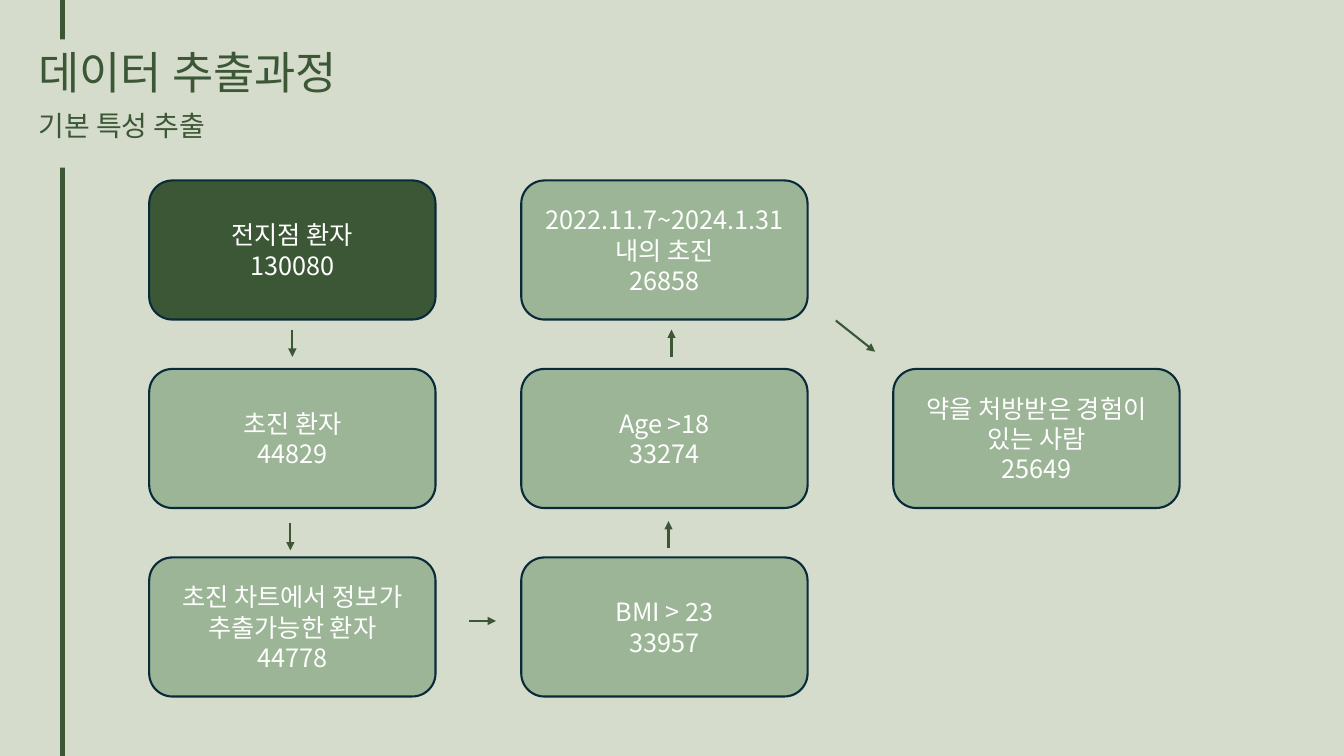
from dataclasses import dataclass

from lxml.etree import SubElement
from pptx import Presentation
from pptx.dml.color import RGBColor
from pptx.enum.shapes import MSO_CONNECTOR, MSO_SHAPE
from pptx.enum.text import MSO_ANCHOR, MSO_AUTO_SIZE, PP_ALIGN
from pptx.oxml.ns import qn
from pptx.util import Inches, Pt

FONT = "Noto Sans CJK KR"
COLORS = {
    "background": "D6DCCC",
    "dark": "3B5735",
    "sage": "9CB596",
    "outline": "092A39",
    "white": "FFFFFF",
}

# Grid of the flow chart, in inches
LEFT, TOP = 1.48, 1.79
COLUMN_STEP, ROW_STEP = 3.69, 1.87
STEP_WIDTH, STEP_HEIGHT = 2.84, 1.38


@dataclass
class Step:
    column: int
    row: int
    label: str
    count: str
    fill: str = "sage"


@dataclass
class Line:
    x1: float
    y1: float
    x2: float
    y2: float
    width: float = 1.5
    arrow: bool = True


STEPS = [
    Step(0, 0, "전지점 환자", "130080", "dark"),
    Step(0, 1, "초진 환자", "44829"),
    Step(0, 2, "초진 차트에서 정보가 추출가능한 환자", "44778"),
    Step(1, 2, "BMI > 23", "33957"),
    Step(1, 1, "Age >18", "33274"),
    Step(1, 0, "2022.11.7~2024.1.31내의 초진", "26858"),
    Step(2, 1, "약을 처방받은 경험이 있는 사람", "25649"),
]

ARROWS = [
    Line(2.9, 3.27, 2.9, 3.54),
    Line(2.88, 5.19, 2.88, 5.46),
    Line(4.65, 6.16, 4.92, 6.16),
    Line(6.63, 5.44, 6.63, 5.17),
    Line(6.66, 3.54, 6.66, 3.27),
    Line(8.29, 3.18, 8.68, 3.49),
]


def color(name: str) -> RGBColor:
    return RGBColor.from_string(COLORS[name])


def add_text(paragraph, text: str, size: float, color_name: str) -> None:
    run = paragraph.add_run()
    run.text = text
    run.font.size = Pt(size)
    run.font.name = FONT
    run.font.color.rgb = color(color_name)
    SubElement(run.font._element, qn("a:ea"), typeface=FONT)


def fill_heading(heading, top: float, height: float, text: str, size: float) -> None:
    heading.left, heading.top = Inches(0.28), Inches(top)
    heading.width, heading.height = Inches(12.9), Inches(height)
    heading.fill.solid()
    heading.fill.fore_color.rgb = color("background")
    frame = heading.text_frame
    frame.word_wrap = True
    frame.auto_size = MSO_AUTO_SIZE.SHAPE_TO_FIT_TEXT
    frame.vertical_anchor = MSO_ANCHOR.TOP
    paragraph = frame.paragraphs[0]
    properties = paragraph._p.get_or_add_pPr()
    properties.set("marL", "0")
    properties.set("indent", "0")
    SubElement(properties, qn("a:buNone"))
    paragraph.alignment = PP_ALIGN.LEFT
    paragraph.space_before = Pt(0)
    add_text(paragraph, text, size, "dark")


def add_line(slide, line: Line):
    connector = slide.shapes.add_connector(
        MSO_CONNECTOR.STRAIGHT,
        Inches(line.x1), Inches(line.y1), Inches(line.x2), Inches(line.y2),
    )
    connector.line.color.rgb = color("dark")
    connector.line.width = Pt(line.width)
    if line.arrow:
        SubElement(connector.line._get_or_add_ln(), qn("a:tailEnd"), type="triangle")
    SubElement(connector.element.spPr, qn("a:effectLst"))
    return connector


def add_step(slide, step: Step) -> None:
    box = slide.shapes.add_shape(
        MSO_SHAPE.ROUNDED_RECTANGLE,
        Inches(LEFT + step.column * COLUMN_STEP),
        Inches(TOP + step.row * ROW_STEP),
        Inches(STEP_WIDTH), Inches(STEP_HEIGHT),
    )
    box.shadow.inherit = False
    box.fill.solid()
    box.fill.fore_color.rgb = color(step.fill)
    box.line.color.rgb = color("outline")
    box.line.width = Pt(1.5)
    frame = box.text_frame
    frame.word_wrap = True
    frame.vertical_anchor = MSO_ANCHOR.MIDDLE
    for paragraph, text in (
        (frame.paragraphs[0], step.label),
        (frame.add_paragraph(), step.count),
    ):
        paragraph.alignment = PP_ALIGN.CENTER
        add_text(paragraph, text, 18, "white")


def main() -> None:
    deck = Presentation()
    deck.slide_width, deck.slide_height = Inches(13.33), Inches(7.5)
    slide = deck.slides.add_slide(deck.slide_layouts[1])
    slide.background.fill.solid()
    slide.background.fill.fore_color.rgb = color("background")

    # Headings
    title, subtitle = slide.placeholders
    fill_heading(title, 0.39, 0.64, "데이터 추출과정", 32)
    fill_heading(subtitle, 1.03, 0.44, "기본 특성 추출", 20)

    # Side rule, behind the headings
    side_rule = add_line(slide, Line(0.62, 0, 0.62, 7.5, width=3, arrow=False))
    title.element.addprevious(side_rule.element)

    # Flow chart
    for step in STEPS:
        add_step(slide, step)
    for arrow in ARROWS:
        add_line(slide, arrow)

    deck.save("out.pptx")


if __name__ == "__main__":
    main()
